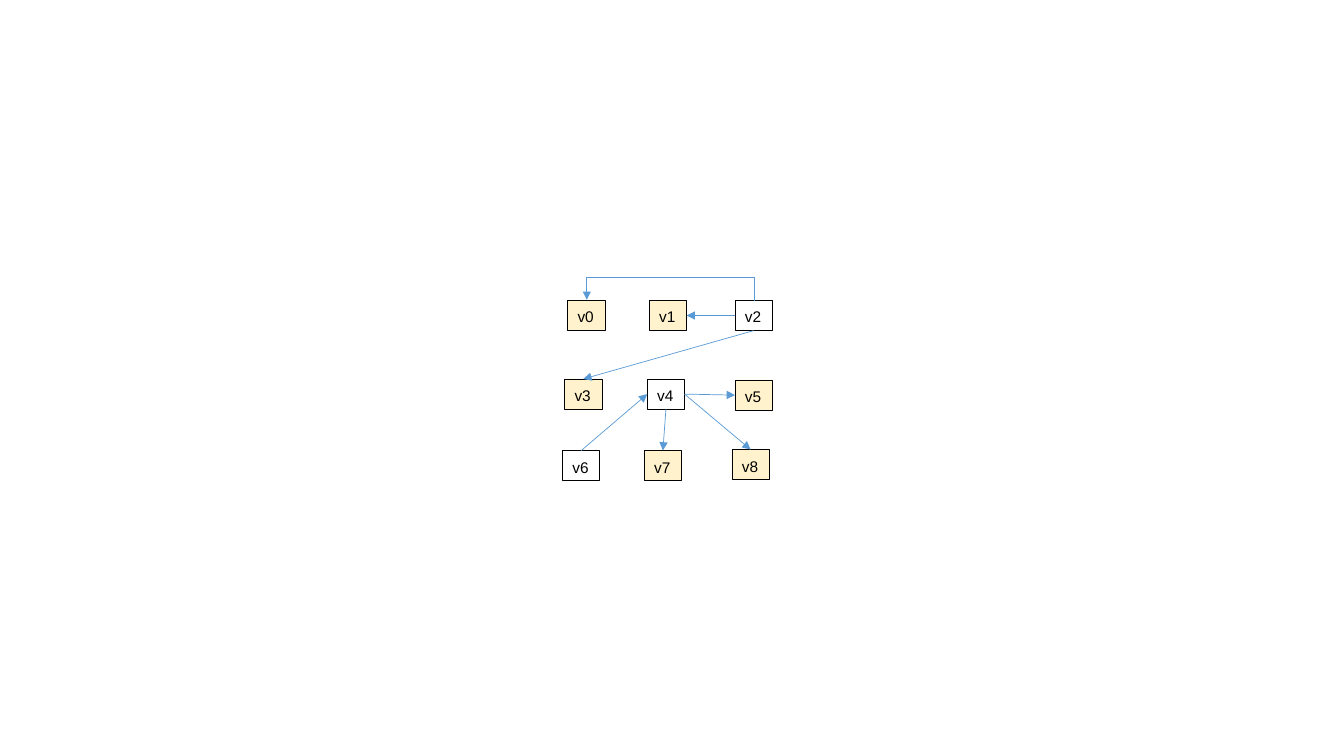
from dataclasses import dataclass

from lxml import etree
from pptx import Presentation
from pptx.dml.color import RGBColor
from pptx.enum.shapes import MSO_CONNECTOR, MSO_SHAPE
from pptx.enum.text import MSO_ANCHOR, PP_ALIGN
from pptx.oxml.ns import qn
from pptx.util import Emu, Pt

RECT = MSO_SHAPE.RECTANGLE
STRAIGHT, ELBOW = MSO_CONNECTOR.STRAIGHT, MSO_CONNECTOR.ELBOW
MIDDLE, LEFT_ALIGN = MSO_ANCHOR.MIDDLE, PP_ALIGN.LEFT
TOP, LEFT, BOTTOM, RIGHT = range(4)
PX = 9144


def px(n):
    return Emu(n * PX)


@dataclass(frozen=True)
class Theme:
    font: str = "Arial"
    size: float = 11
    line_width: float = 0.5
    spacing: float = 1.15
    ink: RGBColor = RGBColor.from_string("000000")
    plain: RGBColor = RGBColor.from_string("FFFFFF")
    marked: RGBColor = RGBColor.from_string("FFF2CC")
    edge: RGBColor = RGBColor.from_string("5B9BD5")


def write(tf, text, *, font, size, color, spacing, align=LEFT_ALIGN):
    p = tf.paragraphs[0]
    p.alignment, p.line_spacing = align, spacing
    r = p.add_run()
    r.text = text
    r.font.name, r.font.size = font, Pt(size)
    r.font.color.rgb = color


class GraphSlide:
    def __init__(self, prs, theme):
        self.theme = theme
        slide = prs.slides.add_slide(prs.slide_layouts[6])
        self.shapes = slide.shapes.add_group_shape().shapes

    def node(self, text, left, top, fill):
        t = self.theme
        sp = self.shapes.add_shape(RECT, px(left), px(top), px(37), px(30))
        sp.shadow.inherit = False
        sp.fill.solid()
        sp.fill.fore_color.rgb = fill
        sp.line.color.rgb = t.ink
        sp.line.width = Pt(t.line_width)
        tf = sp.text_frame
        tf.word_wrap = False
        tf.vertical_anchor = MIDDLE
        write(tf, text, font=t.font, size=t.size, color=t.ink, spacing=t.spacing)
        return sp

    def style_edge(self, cxn):
        cxn.line.color.rgb = self.theme.edge
        cxn.line.width = Pt(self.theme.line_width)
        props = cxn._element.spPr
        etree.SubElement(props.get_or_add_ln(), qn("a:tailEnd"), type="triangle")
        etree.SubElement(props, qn("a:effectLst"))

    def arrow(self, start, start_site, end, end_site):
        cxn = self.shapes.add_connector(
            STRAIGHT, start.left, start.top, end.left, end.top)
        cxn.begin_connect(start, start_site)
        cxn.end_connect(end, end_site)
        self.style_edge(cxn)

    def arrow_over(self, start, end, rise):
        span = start.left - end.left
        x = (start.left + end.left + start.width) // 2
        y = start.top - span // 2
        cxn = self.shapes.add_connector(ELBOW, x, y, x + px(1), y + span)
        props = cxn._element.spPr
        props.xfrm.rot = 270
        props.xfrm.flipV = True
        guides = props.find(qn("a:prstGeom")).get_or_add_avLst()
        etree.SubElement(guides, qn("a:gd"), name="adj1", fmla=f"val {rise * 100000}")
        self.style_edge(cxn)


def main():
    prs = Presentation()
    prs.slide_width, prs.slide_height = px(1333), px(750)
    theme = Theme()
    graph = GraphSlide(prs, theme)

    positions = [
        (563, 298), (644, 298), (729, 298),
        (560, 376), (642, 376), (729, 377),
        (558, 447), (639, 447), (726, 446),
    ]
    unmarked = {2, 4, 6}
    v = [
        graph.node(f"v{i}", left, top, theme.plain if i in unmarked else theme.marked)
        for i, (left, top) in enumerate(positions)
    ]

    graph.arrow_over(v[2], v[0], 24)
    for start, start_site, end, end_site in [
        (2, LEFT, 1, RIGHT),
        (4, RIGHT, 8, TOP),
        (4, RIGHT, 5, LEFT),
        (4, BOTTOM, 7, TOP),
        (2, BOTTOM, 3, TOP),
        (6, TOP, 4, LEFT),
    ]:
        graph.arrow(v[start], start_site, v[end], end_site)

    prs.save("out.pptx")


if __name__ == "__main__":
    main()
